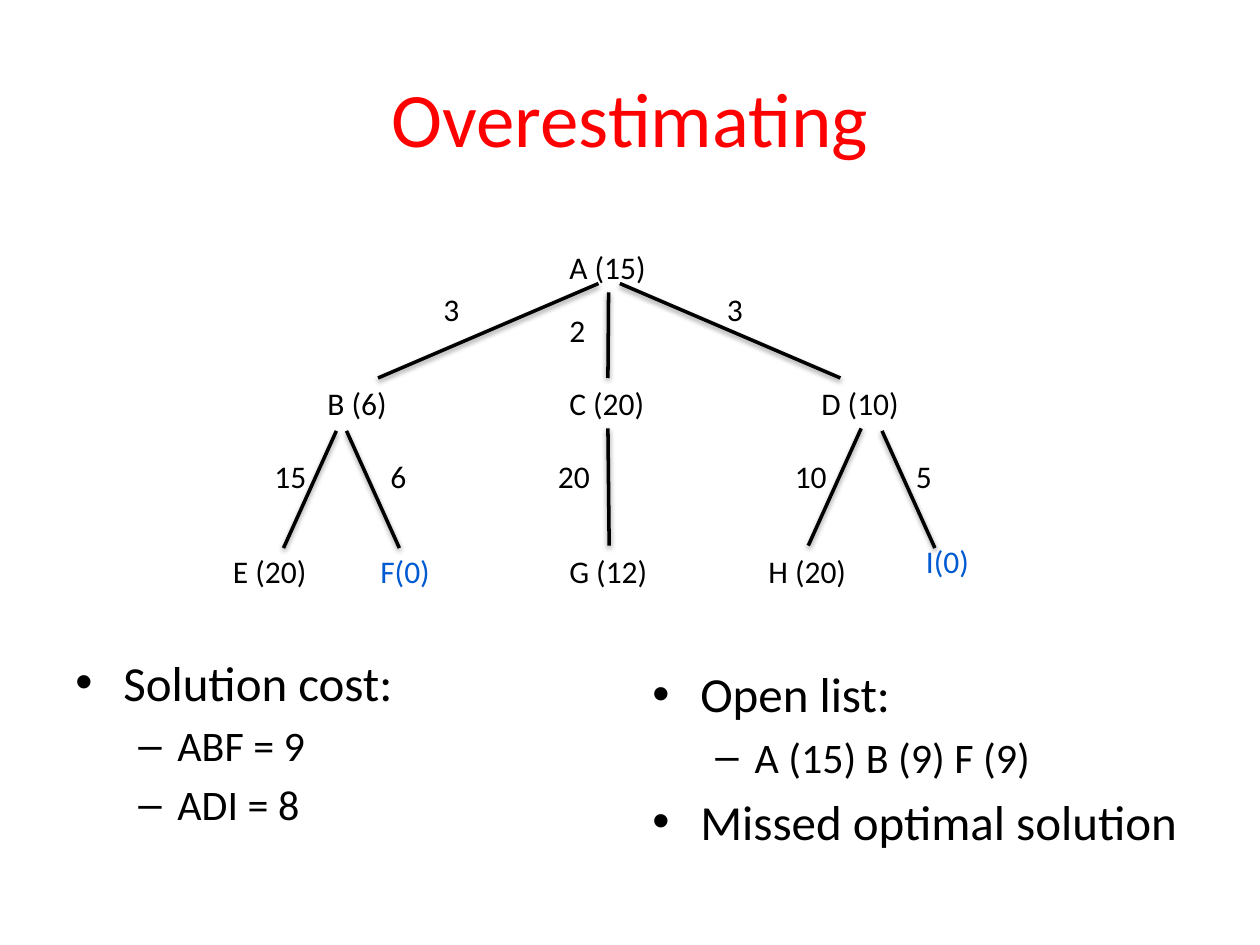
from typing import NamedTuple, Optional

from lxml.etree import SubElement
from pptx import Presentation
from pptx.dml.color import RGBColor
from pptx.enum.shapes import MSO_CONNECTOR
from pptx.enum.text import MSO_ANCHOR, MSO_AUTO_SIZE, PP_ALIGN
from pptx.oxml.ns import qn
from pptx.util import Inches, Pt

BLACK = RGBColor(0x00, 0x00, 0x00)
RED = RGBColor(0xFF, 0x00, 0x00)
BLUE = RGBColor(0x00, 0x5B, 0xD3)
FONT = "Calibri"
LABEL_HEIGHT = 0.4


class Label(NamedTuple):
    text: str
    left: float
    top: float
    width: float
    color: RGBColor = BLACK


class Edge(NamedTuple):
    start: tuple[float, float]
    end: tuple[float, float]
    parent: Optional[str] = None
    child: Optional[str] = None


class Level(NamedTuple):
    size: int
    margin: float
    indent: float
    bullet: str


class Item(NamedTuple):
    text: str
    level: int = 0


LEVELS = [Level(28, 0.38, -0.38, "•"), Level(24, 0.81, -0.31, "–")]

NODES = [
    Label("A (15)", 4.42, 1.92, 0.82),
    Label("B (6)", 2.5, 3, 0.68),
    Label("C (20)", 4.42, 3, 0.81),
    Label("D (10)", 6.42, 3, 0.83),
    Label("E (20)", 1.75, 4.33, 0.79),
    Label("F(0)", 2.92, 4.33, 0.6, BLUE),
    Label("G (12)", 4.42, 4.33, 0.83),
    Label("H (20)", 6, 4.33, 0.83),
    Label("I(0)", 7.25, 4.25, 0.55, BLUE),
]

EDGES = [
    Edge((4.75, 2.25), (3, 3)),
    Edge((4.92, 2.25), (6.67, 3)),
    Edge((4.82, 2.32), (4.82, 3), "A", "C"),
    Edge((4.83, 3.42), (4.83, 4.33), "C", "G"),
    Edge((6.83, 3.4), (6.41, 4.33), "D", "H"),
    Edge((7, 3.42), (7.42, 4.35)),
    Edge((2.75, 3.42), (3.17, 4.35)),
    Edge((2.67, 3.42), (2.25, 4.35)),
]

COSTS = [
    Label("3", 3.42, 2.25, 0.33),
    Label("2", 4.42, 2.42, 0.33),
    Label("3", 5.67, 2.25, 0.33),
    Label("15", 2.08, 3.58, 0.46),
    Label("6", 3, 3.58, 0.33),
    Label("20", 4.33, 3.58, 0.46),
    Label("10", 6.21, 3.58, 0.46),
    Label("5", 7.17, 3.58, 0.33),
]

SOLUTION = [Item("Solution cost:"), Item("ABF = 9", 1), Item("ADI = 8", 1)]
OPEN_LIST = [
    Item("Open list:"),
    Item("A (15) B (9) F (9)", 1),
    Item("Missed optimal solution"),
]


def add_box(s, left: float, top: float, width: float, height: float):
    return s.shapes.add_textbox(Inches(left), Inches(top), Inches(width), Inches(height))


def add_run(p, text: str, size: int, color: RGBColor = BLACK) -> None:
    r = p.add_run()
    r.text = text
    r.font.name = FONT
    r.font.size = Pt(size)
    r.font.color.rgb = color


def add_title(s, text: str) -> None:
    tf = add_box(s, 0.5, 0.3, 9, 1.25).text_frame
    tf.word_wrap = True
    tf.vertical_anchor = MSO_ANCHOR.MIDDLE
    p = tf.paragraphs[0]
    p.alignment = PP_ALIGN.CENTER
    add_run(p, text, 44, RED)


def add_label(s, label: Label):
    sp = add_box(s, label.left, label.top, label.width, LABEL_HEIGHT)
    tf = sp.text_frame
    tf.word_wrap = False
    tf.auto_size = MSO_AUTO_SIZE.SHAPE_TO_FIT_TEXT
    add_run(tf.paragraphs[0], label.text, 18, label.color)
    return sp


def add_shadow(line) -> None:
    effects = SubElement(line._element.spPr, qn("a:effectLst"))
    shadow = SubElement(
        effects, qn("a:outerShdw"), blurRad=str(Pt(3.1)), dist=str(Pt(1.6)),
        dir="5400000", rotWithShape="0",
    )
    color = SubElement(shadow, qn("a:srgbClr"), val=str(BLACK))
    SubElement(color, qn("a:alpha"), val="38000")


def add_edge(s, edge: Edge, nodes: dict) -> None:
    ends = [Inches(v) for v in edge.start + edge.end]
    line = s.shapes.add_connector(MSO_CONNECTOR.STRAIGHT, *ends)
    line.line.color.rgb = BLACK
    line.line.width = Pt(2)
    add_shadow(line)
    if edge.parent and edge.child:
        line.begin_connect(nodes[edge.parent], 2)
        line.end_connect(nodes[edge.child], 0)


def add_bullets(s, left: float, top: float, height: float, items: list[Item]) -> None:
    tf = add_box(s, left, top, 4.42, height).text_frame
    tf.word_wrap = True
    for i, item in enumerate(items):
        p = tf.add_paragraph() if i else tf.paragraphs[0]
        level = LEVELS[item.level]
        p.level = item.level
        p.space_before = Pt(level.size * 0.2)
        pPr = p._p.get_or_add_pPr()
        pPr.set("marL", str(Inches(level.margin)))
        pPr.set("indent", str(Inches(level.indent)))
        SubElement(pPr, qn("a:buFont"), typeface="Arial")
        SubElement(pPr, qn("a:buChar"), char=level.bullet)
        add_run(p, item.text, level.size)


def main() -> None:
    """Build the slide on overestimating heuristics."""
    prs = Presentation()
    prs.slide_width, prs.slide_height = Inches(10), Inches(7.5)
    s = prs.slides.add_slide(prs.slide_layouts[6])
    add_title(s, "Overestimating")
    add_bullets(s, 0.5, 5.13, 1.95, SOLUTION)
    add_bullets(s, 5.08, 5.22, 1.87, OPEN_LIST)
    nodes = {node.text[0]: add_label(s, node) for node in NODES}
    for edge in EDGES:
        add_edge(s, edge, nodes)
    for cost in COSTS:
        add_label(s, cost)
    prs.save("out.pptx")


if __name__ == "__main__":
    main()
